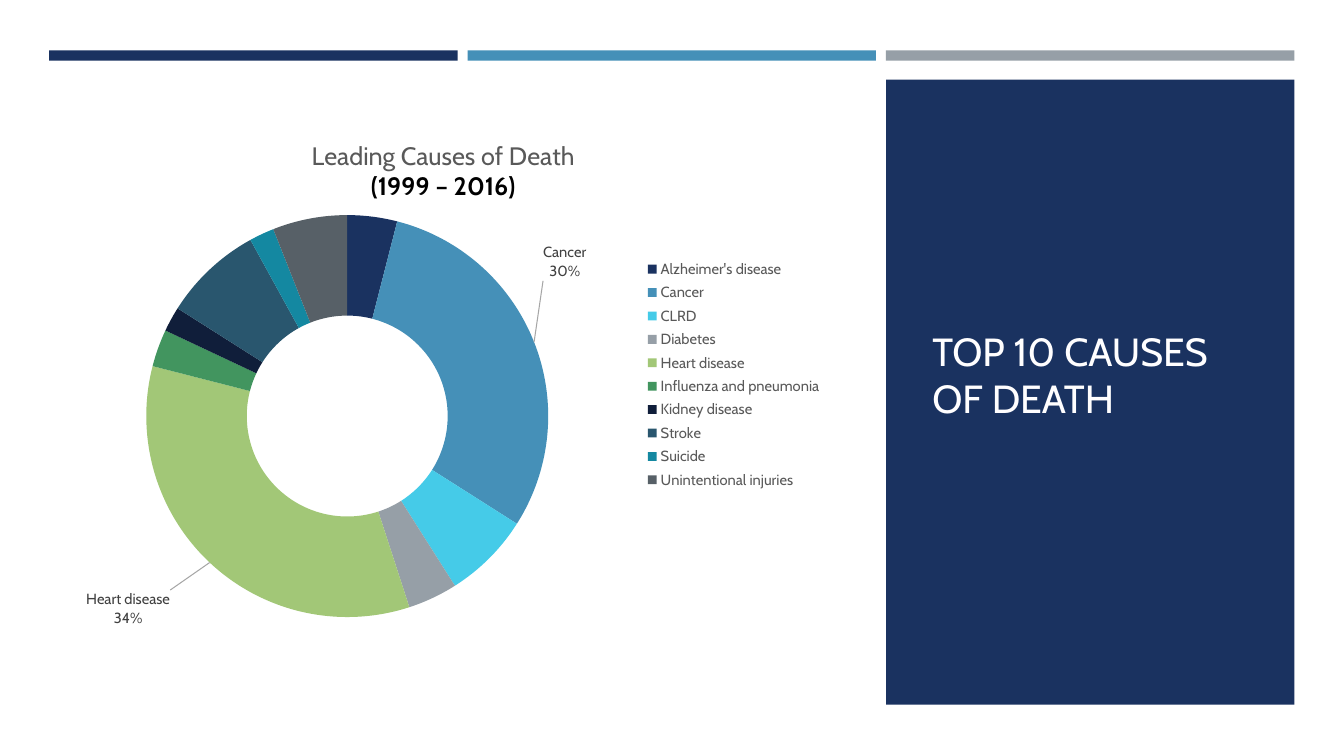
import pptx
import pptx.chart.data
import pptx.dml.color
import pptx.enum.chart
import pptx.enum.shapes
import pptx.enum.text
import pptx.oxml
import pptx.util

Cm, Pt = pptx.util.Cm, pptx.util.Pt
FONT = "Cabin"
NAVY, BLUE, GREY = "1A3260", "4590B8", "969FA7"
CAUSES = [
    ("Alzheimer's disease", 4, NAVY),
    ("Cancer", 30, BLUE),
    ("CLRD", 7, "45CBE8"),
    ("Diabetes", 4, GREY),
    ("Heart disease", 34, "A2C777"),
    ("Influenza and pneumonia", 3, "42955F"),
    ("Kidney disease", 2, "101E3A"),
    ("Stroke", 8, "29566E"),
    ("Suicide", 2, "1488A1"),
    ("Unintentional injuries", 6, "576067"),
]
# Label shift from the ring, as shares of the chart's width and height
SHIFTS = {"Cancer": (0.1, -0.19), "Heart disease": (-0.15, 0.16)}
NS = 'xmlns:c="http://schemas.openxmlformats.org/drawingml/2006/chart"'
NS += ' xmlns:a="http://schemas.openxmlformats.org/drawingml/2006/main"'


def tint(color):
    return pptx.dml.color.RGBColor.from_string(color)


def style(font, size, color, bold=False):
    font.name, font.size, font.bold = FONT, Pt(size), bold
    font.color.rgb = tint(color)


def block(slide, left, top, width, height, color):
    kind = pptx.enum.shapes.MSO_SHAPE.RECTANGLE
    rect = slide.shapes.add_shape(kind, Cm(left), Cm(top), Cm(width), Cm(height))
    rect.shadow.inherit = False
    rect.fill.solid()
    rect.fill.fore_color.rgb = tint(color)
    rect.line.fill.background()


def bars(slide, left, top, width, height, gap=0.25):
    """Split the box into three coloured bars."""
    size = (width - 2 * gap) / 3
    for i, color in enumerate([NAVY, BLUE, GREY]):
        block(slide, left + i * (size + gap), top, size, height, color)


def panel(slide, left, top, width, height):
    """Draw the navy side panel with the slide title."""
    block(slide, left, top, width, height, NAVY)
    box = slide.shapes.add_textbox(
        Cm(left + 0.92), Cm(top + 0.89), Cm(width - 1.8), Cm(height - 2.67))
    frame = box.text_frame
    frame.word_wrap = True
    frame.vertical_anchor = pptx.enum.text.MSO_ANCHOR.MIDDLE
    frame.text = "TOP 10 CAUSES OF DEATH"
    style(frame.paragraphs[0].runs[0].font, 28, "FFFEFF")


def layout(x, y, width=None, height=None, edge=True):
    """Return a manual layout in shares of the chart."""
    modes = '<c:xMode val="edge"/><c:yMode val="edge"/>' if edge else ""
    size = f'<c:w val="{width}"/><c:h val="{height}"/>' if width else ""
    return (f'<c:layout {NS}><c:manualLayout>{modes}<c:x val="{x}"/>'
            f'<c:y val="{y}"/>{size}</c:manualLayout></c:layout>')


def place(part, after, *spot):
    """Give a chart part a manual layout, right after the named child."""
    for old in part.findall(pptx.oxml.ns.qn("c:layout")):
        part.remove(old)
    node = pptx.oxml.parse_xml(layout(*spot))
    if after:
        part.find(pptx.oxml.ns.qn(after)).addnext(node)
    else:
        part.insert(0, node)


def flags(on):
    names = ["LegendKey", "Val", "CatName", "SerName", "Percent", "BubbleSize"]
    return "".join(f'<c:show{n} val="{int(n in on)}"/>' for n in names)


def labels(series):
    """Label the shifted slices with name and share, with leader lines."""
    text = ('<c:spPr><a:noFill/><a:ln><a:noFill/></a:ln></c:spPr>'
            '<c:txPr><a:bodyPr/><a:p><a:pPr><a:defRPr sz="1050">'
            '<a:solidFill><a:srgbClr val="404040"/></a:solidFill>'
            f'<a:latin typeface="{FONT}"/></a:defRPr></a:pPr></a:p></c:txPr>')
    marks = ""
    for i, (name, _, _) in enumerate(CAUSES):
        if name in SHIFTS:
            marks += (f'<c:dLbl><c:idx val="{i}"/>'
                      f'{layout(*SHIFTS[name], edge=False)}{text}'
                      f'{flags(["CatName", "Percent"])}'
                      '<c:separator>\n</c:separator></c:dLbl>')
    lead = ('<c:showLeaderLines val="1"/><c:leaderLines><c:spPr><a:ln w="9525">'
            '<a:solidFill><a:srgbClr val="A6A6A6"/></a:solidFill></a:ln>'
            '</c:spPr></c:leaderLines>')
    node = pptx.oxml.parse_xml(
        f'<c:dLbls {NS}>{marks}{text}{flags([])}{lead}</c:dLbls>')
    series._element.find(pptx.oxml.ns.qn("c:cat")).addprevious(node)


def donut(slide, left, top, width, height):
    data = pptx.chart.data.CategoryChartData()
    data.categories = [name for name, _, _ in CAUSES]
    data.add_series("Series 1", [value for _, value, _ in CAUSES])
    chart = slide.shapes.add_chart(
        pptx.enum.chart.XL_CHART_TYPE.DOUGHNUT,
        Cm(left), Cm(top), Cm(width), Cm(height), data).chart
    style(chart.font, 10.5, "000000")

    chart.has_title = True
    title = chart.chart_title
    title.text_frame.text = "Leading Causes of Death\n(1999 – 2016)"
    first, second = title.text_frame.paragraphs
    style(first.runs[0].font, 18, "595959")
    style(second.runs[0].font, 18, "000000", True)
    place(title._element, "c:tx", 0.33, 0.04)

    chart.has_legend = True
    legend = chart.legend
    legend.position = pptx.enum.chart.XL_LEGEND_POSITION.RIGHT
    legend.include_in_layout = False
    style(legend.font, 10.5, "595959")
    place(legend._element, "c:legendPos", 0.76, 0.27, 0.24, 0.46)

    plot = chart.plots[0]
    plot.vary_by_categories = True
    series = plot.series[0]
    for i, (_, _, color) in enumerate(CAUSES):
        look = series.points[i].format
        look.fill.solid()
        look.fill.fore_color.rgb = tint(color)
        look.line.fill.background()
    labels(series)
    area = plot._element.getparent()
    place(area, None, 0.12, 0.19, 0.52, 0.78)
    inner = pptx.oxml.parse_xml(f'<c:layoutTarget {NS} val="inner"/>')
    area[0][0].insert(0, inner)


def main():
    deck = pptx.Presentation()
    deck.slide_width, deck.slide_height = Cm(33.87), Cm(19.05)
    slide = deck.slides.add_slide(deck.slide_layouts[6])
    bars(slide, 1.24, 1.27, 31.38, 0.26)
    panel(slide, 22.33, 2.01, 10.29, 15.75)
    donut(slide, 1.35, 2.9, 19.48, 13.08)
    deck.save("out.pptx")


if __name__ == "__main__":
    main()
